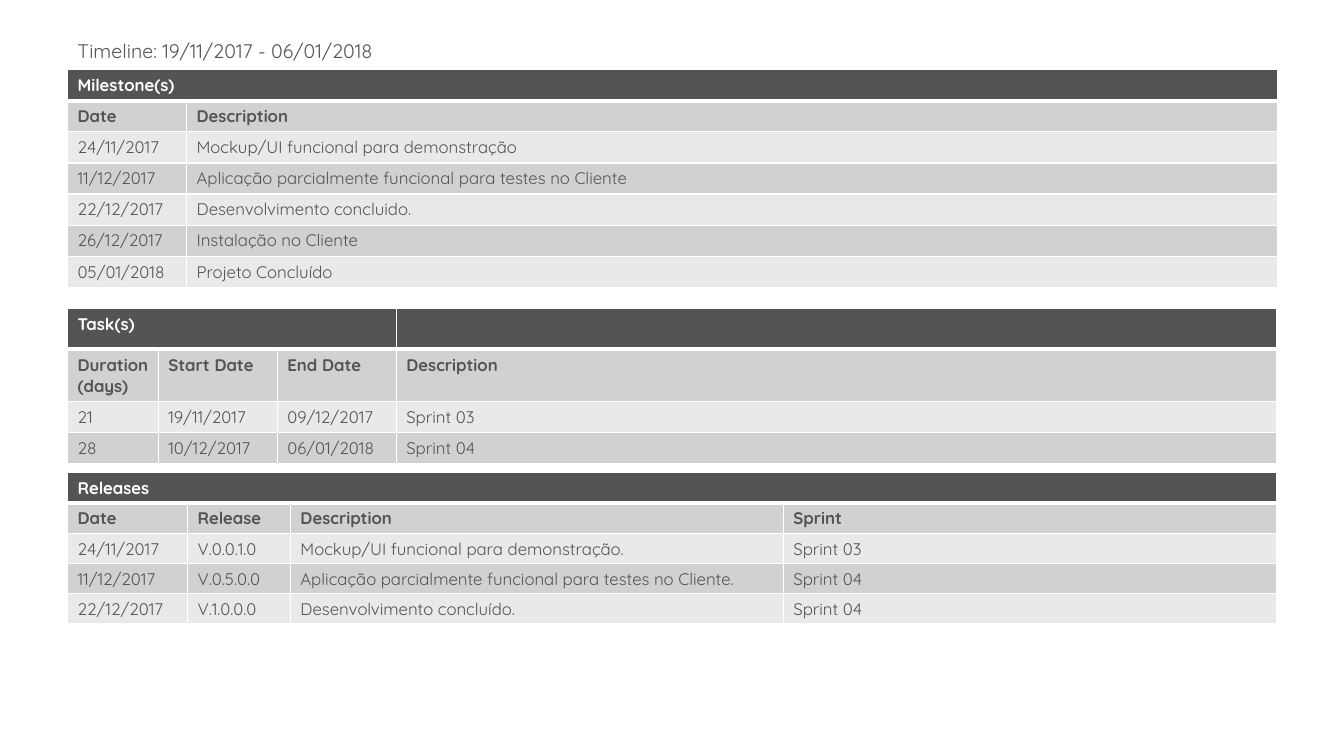
from lxml import etree
from pptx import Presentation
from pptx.dml.color import RGBColor
from pptx.enum import text
from pptx.oxml.ns import qn
from pptx.util import Inches, Pt

COLORS = {"dark": "545454", "mid": "D1D1D1", "light": "E9E9E9", "white": "FFFFFF"}
FONT = "Quicksand"
LEFT = 0.67
ROW_HEIGHT = 0.3

MILESTONES = [
    ["Milestone(s)", ""],
    ["Date", "Description"],
    ["24/11/2017", "Mockup/UI funcional para demonstração"],
    ["11/12/2017", "Aplicação parcialmente funcional para testes no Cliente"],
    ["22/12/2017", "Desenvolvimento concluido."],
    ["26/12/2017", "Instalação no Cliente"],
    ["05/01/2018", "Projeto Concluído"],
]
TASKS = [
    ["Task(s)", "", "", ""],
    ["Duration\n(days)", "Start Date", "End Date", "Description"],
    ["21", "19/11/2017", "09/12/2017", "Sprint 03"],
    ["28", "10/12/2017", "06/01/2018", "Sprint 04"],
]
RELEASES = [
    ["Releases", "", "", ""],
    ["Date", "Release", "Description", "Sprint"],
    ["24/11/2017", "V.0.0.1.0", "Mockup/UI funcional para demonstração.", "Sprint 03"],
    ["11/12/2017", "V.0.5.0.0",
     "Aplicação parcialmente funcional para testes no Cliente.", "Sprint 04"],
    ["22/12/2017", "V.1.0.0.0", "Desenvolvimento concluído.", "Sprint 04"],
]


def rgb(color):
    return RGBColor.from_string(COLORS[color])


def write(frame, wording, color, **font_format):
    """Fill a text frame, one paragraph for each line of the wording."""
    frame.text = wording
    for paragraph in frame.paragraphs:
        for run in paragraph.runs:
            for attribute, value in {"name": FONT, **font_format}.items():
                setattr(run.font, attribute, value)
            run.font.color.rgb = rgb(color)


def add_borders(cell, top, bottom):
    """Give the cell white borders; top and bottom widths are in points."""
    properties = cell._tc.get_or_add_tcPr()
    for side, width in {"L": 1, "R": 1, "T": top, "B": bottom}.items():
        line = etree.SubElement(properties, qn(f"a:ln{side}"), w=str(Pt(width)))
        fill = etree.SubElement(line, qn("a:solidFill"))
        etree.SubElement(fill, qn("a:srgbClr"), val=COLORS["white"])


def row_look(row):
    """Return fill, text colour and boldness for a row index."""
    if row == 0:
        return "dark", "white", True
    return ("mid" if row % 2 else "light"), "dark", row == 1


def add_schedule(slide, top, widths, rows, title_span, bottom_margin=0.05):
    frame = slide.shapes.add_table(
        len(rows), len(widths), Inches(LEFT), Inches(top),
        Inches(sum(widths)), Inches(ROW_HEIGHT * len(rows)))
    table = frame.table
    for flag in ("first_row", "horz_banding"):
        setattr(table, flag, False)
    for column, width in zip(table.columns, widths):
        column.width = Inches(width)

    for r, entries in enumerate(rows):
        fill, color, bold = row_look(r)
        for c, entry in enumerate(entries):
            cell = table.cell(r, c)
            cell.margin_bottom = Inches(bottom_margin)
            add_borders(cell, top=3 if r == 1 else 1, bottom=3 if r == 0 else 1)
            cell.fill.solid()
            cell.fill.fore_color.rgb = rgb(fill)
            if entry:
                write(cell.text_frame, entry, color, size=Pt(12), bold=bold)
    table.cell(0, 0).merge(table.cell(0, title_span - 1))


def add_timeline(slide, period):
    box = slide.shapes.add_textbox(Inches(LEFT), Inches(0.36), Inches(3.33), Inches(0.31))
    frame = box.text_frame
    frame.word_wrap = False
    frame.auto_size = text.MSO_AUTO_SIZE.SHAPE_TO_FIT_TEXT
    write(frame, period, "dark", size=Pt(14))
    frame.paragraphs[0].line_spacing = 0.9


def main():
    deck = Presentation()
    deck.slide_width, deck.slide_height = Inches(13.33), Inches(7.5)
    slide = deck.slides.add_slide(deck.slide_layouts[6])
    add_schedule(slide, 0.69, [1.18, 10.82], MILESTONES, title_span=2)
    add_schedule(slide, 3.06, [0.9, 1.18, 1.18, 8.73], TASKS, title_span=3)
    add_timeline(slide, "Timeline: 19/11/2017 - 06/01/2018")
    add_schedule(slide, 4.69, [1.19, 1.02, 4.89, 4.89], RELEASES, title_span=4,
                 bottom_margin=0.04)
    deck.save("out.pptx")


if __name__ == "__main__":
    main()
